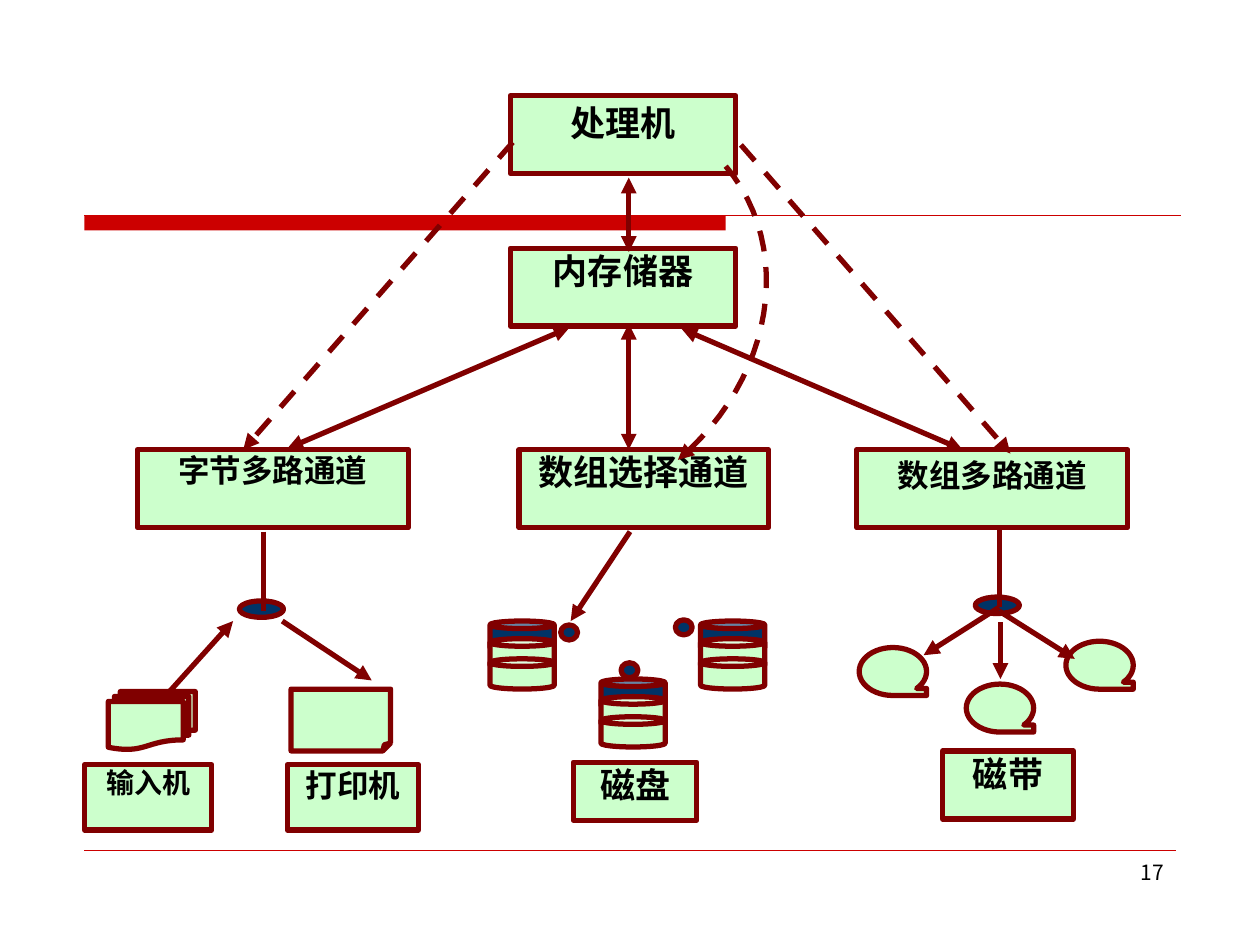
from pptx import Presentation
from pptx.dml.color import RGBColor
from pptx.enum import dml, shapes, text
from pptx.oxml import ns
from pptx.util import Pt
from lxml import etree

GREEN = RGBColor(0xCC, 0xFF, 0xCC)
MAROON = RGBColor(0x80, 0x00, 0x00)
NAVY = RGBColor(0x00, 0x33, 0x66)
RED = RGBColor(0xCC, 0x00, 0x00)
BLACK = RGBColor(0, 0, 0)
FONT = "Noto Sans CJK SC"
KIND = shapes.MSO_SHAPE


def add_run(p, words, size, bold=False):
    """Add one run in the slide font to a paragraph."""
    r = p.add_run()
    r.text = words
    r.font.name, r.font.size, r.font.bold = FONT, Pt(size), bold
    r.font.color.rgb = BLACK
    ea = etree.SubElement(r.font._element, ns.qn("a:ea"))
    ea.set("typeface", FONT)


def style_line(line, color=MAROON, width=3, dashed=False):
    """Set the colour, width and dash of a line."""
    line.color.rgb = color
    line.width = Pt(width)
    if dashed:
        line.dash_style = dml.MSO_LINE.DASH


def add_heads(line, ends):
    """Put triangle arrowheads on the named ends of a line."""
    ln = line._get_or_add_ln()
    for end in ends:
        etree.SubElement(ln, ns.qn(f"a:{end}")).set("type", "triangle")


def add_preset(s, kind, x, y, w, h, fill=GREEN):
    """Add an outlined preset shape."""
    sp = s.shapes.add_shape(kind, Pt(x), Pt(y), Pt(w), Pt(h))
    sp.shadow.inherit = False
    sp.fill.solid()
    sp.fill.fore_color.rgb = fill
    style_line(sp.line)
    return sp


def add_label(s, words, x, y, w, h, size, inset=0.7):
    """Add a green box with bold centred text at its top."""
    tf = add_preset(s, KIND.RECTANGLE, x, y, w, h).text_frame
    tf.word_wrap = True
    tf.vertical_anchor = text.MSO_ANCHOR.TOP
    tf.margin_left = tf.margin_right = Pt(1.4)
    tf.margin_top = tf.margin_bottom = Pt(inset)
    p = tf.paragraphs[0]
    p.alignment = text.PP_ALIGN.CENTER
    add_run(p, words, size, True)


def add_link(s, x, y, start, end, ends=("tailEnd",), dashed=False, color=MAROON, width=3):
    """Join two points given relative to an origin."""
    (x1, y1), (x2, y2) = start, end
    cx = s.shapes.add_connector(shapes.MSO_CONNECTOR.STRAIGHT,
                                Pt(x + x1), Pt(y + y1), Pt(x + x2), Pt(y + y2))
    style_line(cx.line, color, width, dashed)
    add_heads(cx.line, ends)
    etree.SubElement(cx._element.spPr, ns.qn("a:effectLst"))


def add_curve(s, x, y, points, steps=24):
    """Draw a dashed Bezier arrow through four control points."""
    curve = []
    for i in range(steps + 1):
        t = i / steps
        weights = ((1 - t) ** 3, 3 * t * (1 - t) ** 2, 3 * t * t * (1 - t), t ** 3)
        px, py = (sum(k * pt[axis] for k, pt in zip(weights, points)) for axis in (0, 1))
        curve.append((Pt(x + px), Pt(y + py)))
    builder = s.shapes.build_freeform(*curve[0])
    builder.add_line_segments(curve[1:], close=False)
    sp = builder.convert_to_shape()
    sp.shadow.inherit = False
    sp.fill.background()
    style_line(sp.line, dashed=True)
    add_heads(sp.line, ("tailEnd",))


def add_hub(s, x, y):
    """Add the flat navy node where device lines meet."""
    add_preset(s, KIND.OVAL, x, y, 25.2, 9.4, NAVY)


def add_disk(s, x, y):
    """Stack three cans into a disk drive."""
    for dy, fill in ((0, NAVY), (10.1, GREEN), (21.6, GREEN)):
        add_preset(s, KIND.CAN, x, y + dy, 36.7, 17.3, fill)


def add_page(s, x, y, w, h):
    """Add a sheet with a small folded corner."""
    sp = add_preset(s, KIND.FOLDED_CORNER, x, y, w, h)
    guides = sp._element.spPr.find(ns.qn("a:prstGeom")).find(ns.qn("a:avLst"))
    for guide in list(guides):
        guides.remove(guide)
    etree.SubElement(guides, ns.qn("a:gd"), name="adj", fmla="val 12500")


def add_frame(s, x, y, number):
    """Add the red rules and the page number."""
    bar = add_preset(s, KIND.RECTANGLE, x, y, 366.5, 8.6, RED)
    bar.line.fill.background()
    add_link(s, x, y, (0, 0), (626.4, 0), (), color=RED, width=0.75)
    add_link(s, x, y, (0, 363), (624, 363), (), color=RED, width=0.25)
    tf = s.shapes.add_textbox(Pt(x + 468), Pt(y + 364.3), Pt(156), Pt(37.4)).text_frame
    tf.word_wrap = True
    p = tf.paragraphs[0]
    p.alignment = text.PP_ALIGN.RIGHT
    add_run(p, number, 12)


def add_byte_channel(s, x, y):
    """Add the byte channel with its reader and printer."""
    add_label(s, "字节多路通道", x, y, 154.8, 44.6, 18)
    add_preset(s, KIND.FLOWCHART_MULTIDOCUMENT, x - 16.6, y + 138.2, 49.7, 33.1)
    add_page(s, x + 87.8, y + 136.8, 56.9, 35.3)
    add_link(s, x, y, (82.8, 97.9), (133.9, 131.8))
    add_link(s, x, y, (15.1, 141.8), (54.7, 97.9))
    add_label(s, "打印机", x + 85.7, y + 180, 74.9, 37.4, 18)
    add_label(s, "输入机", x - 30.2, y + 180, 72.7, 37.4, 16)
    add_hub(s, x + 58.3, y + 86.4)
    add_link(s, x, y, (72, 46.8), (72, 92.2), ())


def add_selector_channel(s, x, y):
    """Add the selector channel with its three disks."""
    add_label(s, "数组选择通道", x, y, 142.6, 44.6, 20)
    for dx, dy in ((-16.6, 97.9), (46.8, 131), (103.7, 97.9)):
        add_disk(s, x + dx, y + dy)
    for dx, dy in ((89.3, 97.2), (58.3, 121.7), (23.8, 100.1)):
        add_preset(s, KIND.OVAL, x + dx, y + dy, 9.6, 8.6, NAVY)
    add_link(s, x, y, (63.4, 46.8), (29.5, 97.9))
    add_label(s, "磁盘", x + 31, y + 178.6, 70.6, 33.1, 20)


def add_block_channel(s, x, y):
    """Add the block multiplexer channel with its three tapes."""
    add_label(s, "磁带", x + 49, y + 172.1, 74.9, 38.9, 20)
    add_label(s, "数组多路通道", x, y, 154.8, 44.6, 18, 3.6)
    for dx, dy in ((1.4, 113), (119.5, 109.4), (62.6, 133.9)):
        add_preset(s, KIND.FLOWCHART_SEQUENTIAL_ACCESS_STORAGE, x + dx, y + dy, 38.5, 27.4)
    add_hub(s, x + 67.7, y + 84.2)
    add_link(s, x, y, (81.4, 45.4), (81.4, 90), ())
    for start, end in (((81.4, 90), (38.2, 117.4)),
                       ((81.4, 92.2), (124.6, 119.5)),
                       ((82.1, 98.6), (82.1, 131))):
        add_link(s, x, y, start, end)


def add_core(s, x, y):
    """Add processor and memory with their links to the channels."""
    add_label(s, "内存储器", x, y + 87.1, 128.9, 44.6, 20)
    add_label(s, "处理机", x, y, 128.9, 44.6, 20, 3.6)
    for start, end in (((33.8, 132.5), (-127.4, 201.6)),
                       ((67.7, 130.3), (67.7, 202.3)),
                       ((97.9, 133.2), (258.5, 202.3)),
                       ((67.7, 46.8), (67.7, 89.3))):
        add_link(s, x, y, start, end, ("headEnd", "tailEnd"))
    add_link(s, x, y, (1.4, 26.6), (-152.6, 202.3), dashed=True)
    add_link(s, x, y, (131.8, 28.1), (285.8, 204.5), dashed=True)
    add_curve(s, x, y, ((123.1, 40.3), (162.7, 87.1), (150.5, 162), (95.8, 208.1)))


def main():
    """Build the slide and save it."""
    prs = Presentation()
    prs.slide_width, prs.slide_height = Pt(720), Pt(540)
    s = prs.slides.add_slide(prs.slide_layouts[6])
    add_frame(s, 48.2, 123.1, "17")
    add_selector_channel(s, 296.6, 257)
    add_byte_channel(s, 78.5, 257)
    add_block_channel(s, 489.6, 257)
    add_core(s, 291.6, 54.7)
    prs.save("out.pptx")


if __name__ == "__main__":
    main()
